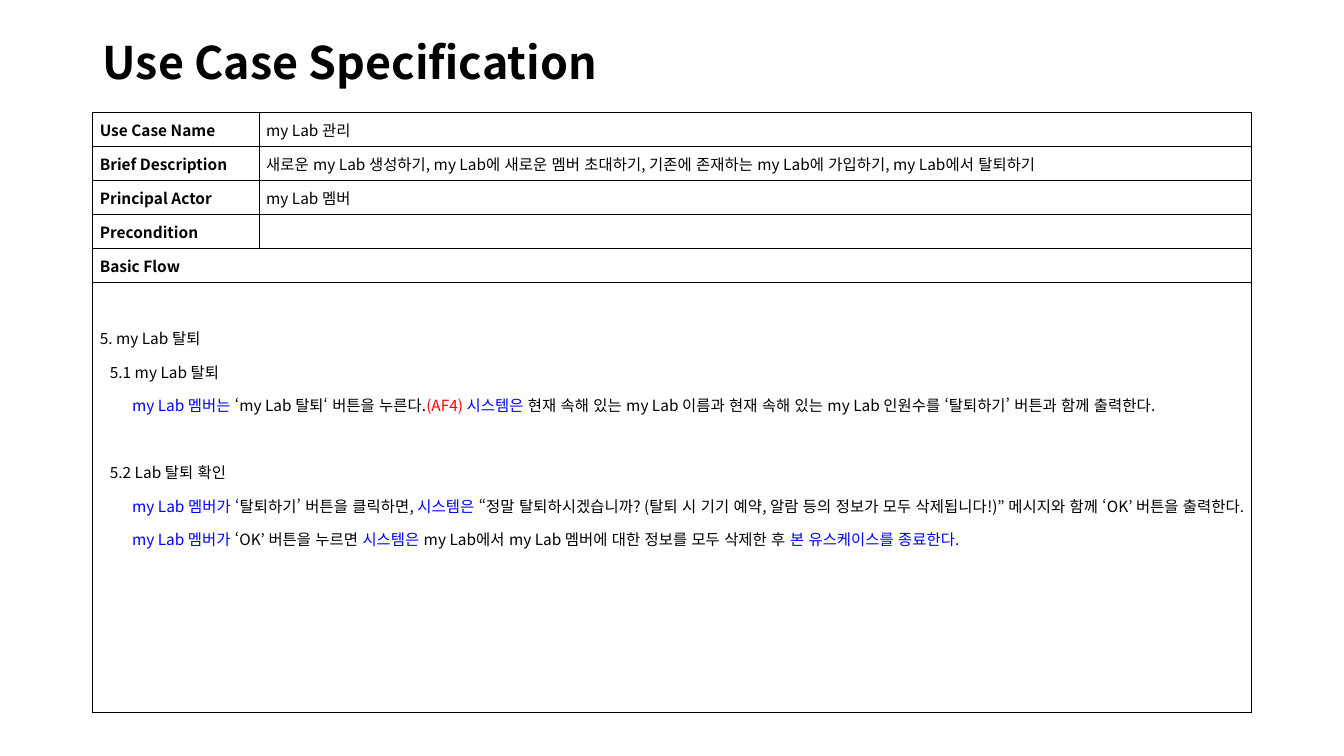
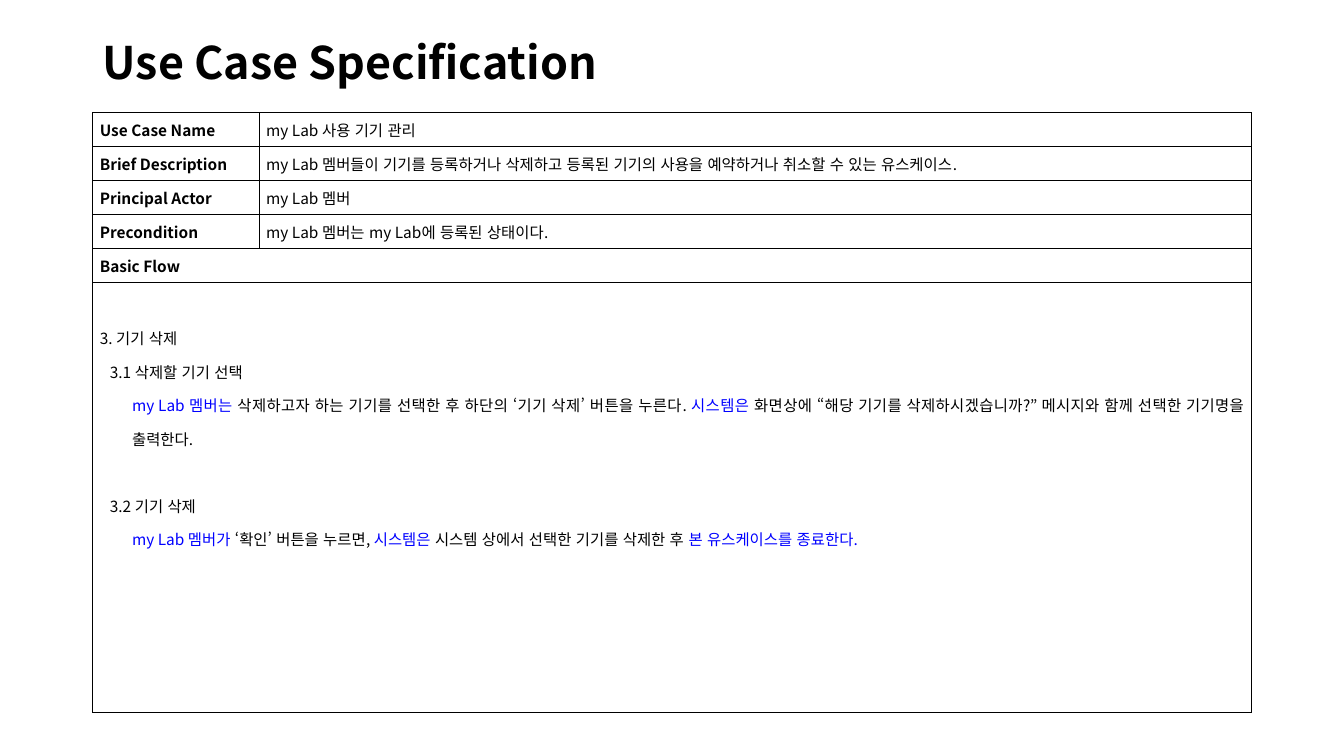
"""Build two use case specification slides, each with a title and a bordered table."""
from dataclasses import dataclass

from lxml import etree
from pptx import Presentation
from pptx.dml.color import RGBColor
from pptx.enum.lang import MSO_LANGUAGE_ID
from pptx.enum.text import MSO_ANCHOR, PP_ALIGN
from pptx.oxml.ns import qn
from pptx.util import Inches, Pt

MIDDLE, TOP = MSO_ANCHOR.MIDDLE, MSO_ANCHOR.TOP
LEFT, JUSTIFY = PP_ALIGN.LEFT, PP_ALIGN.JUSTIFY
KOREAN = MSO_LANGUAGE_ID.KOREAN


@dataclass(frozen=True)
class Theme:
    font: str = "Noto Sans CJK KR"
    black: str = "000000"
    actor: str = "0000FF"
    alternative: str = "FF0000"
    title_size: int = 32
    body_size: int = 11
    border_width: int = 1
    flow_spacing: float = 1.5
    blank_line: float = 23.9


theme = Theme()
BLACK, ACTOR, ALTERNATIVE = theme.black, theme.actor, theme.alternative
LABELS = ["Use Case Name", "Brief Description", "Principal Actor", "Precondition", "Basic Flow"]
COLUMN_WIDTHS = [1.65, 9.84]
TABLE_HEIGHT, FLOW_HEIGHT = 5.95, 4.27
ROW_HEIGHTS = [(TABLE_HEIGHT - FLOW_HEIGHT) / len(LABELS)] * len(LABELS) + [FLOW_HEIGHT]
FLOW_INDENTS = {"heading": 0, "step": 0.1, "detail": 0.32}

use_cases = [
    {
        "values": [
            "my Lab 관리",
            "새로운 my Lab 생성하기, my Lab에 새로운 멤버 초대하기, "
            "기존에 존재하는 my Lab에 가입하기, my Lab에서 탈퇴하기",
            "my Lab 멤버",
            "",
        ],
        "flow": [
            ("heading", [("5. my Lab 탈퇴", BLACK)]),
            ("step", [("5.1 my Lab 탈퇴", BLACK)]),
            ("detail", [
                ("my Lab 멤버는 ", ACTOR),
                ("‘my Lab 탈퇴‘ 버튼을 누른다.", BLACK),
                ("(AF4) ", ALTERNATIVE),
                ("시스템은 ", ACTOR),
                ("현재 속해 있는 my Lab 이름과 현재 속해 있는 my Lab 인원수를 "
                 "‘탈퇴하기’ 버튼과 함께 출력한다.", BLACK),
            ]),
            ("step", [("5.2 Lab 탈퇴 확인", BLACK)]),
            ("detail", [
                ("my Lab 멤버가 ‘", ACTOR),
                ("탈퇴하기’ 버튼을 클릭하면, ", BLACK),
                ("시스템은 ", ACTOR),
                ("“정말 탈퇴하시겠습니까? (탈퇴 시 기기 예약, 알람 등의 정보가 모두 "
                 "삭제됩니다!)” 메시지와 함께 ‘OK’ 버튼을 출력한다. ", BLACK),
                ("my Lab 멤버가 ", ACTOR),
                ("‘OK’ 버튼을 누르면 ", BLACK),
                ("시스템은 ", ACTOR),
                ("my Lab에서 my Lab 멤버에 대한 정보를 모두 삭제한 후 ", BLACK),
                ("본 유스케이스를 종료한다.", ACTOR),
            ]),
        ],
    },
    {
        "values": [
            "my Lab 사용 기기 관리",
            "my Lab 멤버들이 기기를 등록하거나 삭제하고 등록된 기기의 사용을 "
            "예약하거나 취소할 수 있는 유스케이스.",
            "my Lab 멤버",
            "my Lab 멤버는 my Lab에 등록된 상태이다.",
        ],
        "flow": [
            ("heading", [("3. 기기 삭제", BLACK)]),
            ("step", [("3.1 삭제할 기기 선택", BLACK)]),
            ("detail", [
                ("my Lab 멤버는", ACTOR),
                (" 삭제하고자 하는 기기를 선택한 후 하단의 ‘기기 삭제’ 버튼을 누른다. ", BLACK),
                ("시스템은", ACTOR),
                (" 화면상에 “해당 기기를 삭제하시겠습니까?” 메시지와 함께 "
                 "선택한 기기명을 출력한다.", BLACK),
            ]),
            ("step", [("3.2 기기 삭제", BLACK)]),
            ("detail", [
                ("my Lab 멤버가 ", ACTOR),
                ("‘확인’ 버튼을 누르면, ", BLACK),
                ("시스템은", ACTOR),
                (" 시스템 상에서 선택한 기기를 삭제한 후 ", BLACK),
                ("본 유스케이스를 종료한다.", ACTOR),
            ]),
        ],
    },
]


def write_paragraph(paragraph, runs, size, bold=False, alignment=JUSTIFY):
    paragraph.alignment = alignment
    font = paragraph.font
    font.name, font.size, font.bold = theme.font, Pt(size), bold
    font.color.rgb = RGBColor.from_string(BLACK)
    defaults = paragraph._p.pPr.find(qn("a:defRPr"))
    etree.SubElement(defaults, qn("a:ea"), typeface=theme.font)
    for text, color in runs:
        run = paragraph.add_run()
        run.text = text
        run.font.language_id = KOREAN
        if color != BLACK:
            run.font.color.rgb = RGBColor.from_string(color)
    if not runs:
        etree.SubElement(paragraph._p, qn("a:endParaRPr"), sz=str(size * 100))


def format_cell(cell):
    cell.fill.background()
    cell.vertical_anchor = MIDDLE
    cell.margin_left = cell.margin_right = Inches(0.07)
    cell.margin_top = cell.margin_bottom = 0
    properties = cell._tc.get_or_add_tcPr()
    for position, side in enumerate(["lnL", "lnR", "lnT", "lnB"]):
        border = etree.Element(qn(f"a:{side}"), w=str(Pt(theme.border_width)))
        fill = etree.SubElement(border, qn("a:solidFill"))
        etree.SubElement(fill, qn("a:srgbClr"), val=BLACK)
        properties.insert(position, border)


presentation = Presentation()
presentation.slide_width, presentation.slide_height = Inches(13.33), Inches(7.5)
blank_layout = presentation.slide_layouts[6]

for use_case in use_cases:
    slide = presentation.slides.add_slide(blank_layout)

    title = slide.shapes.add_textbox(Inches(0.92), Inches(0.39), Inches(11.5), Inches(0.5))
    title_frame = title.text_frame
    title_frame.word_wrap = True
    title_frame.vertical_anchor = MIDDLE
    title_frame.margin_top = title_frame.margin_bottom = 0
    title_paragraph = title_frame.paragraphs[0]
    title_paragraph.line_spacing = 0.9
    write_paragraph(title_paragraph, [("Use Case Specification", BLACK)],
                    theme.title_size, bold=True, alignment=LEFT)

    table = slide.shapes.add_table(
        len(ROW_HEIGHTS), len(COLUMN_WIDTHS),
        Inches(0.92), Inches(1.12), Inches(sum(COLUMN_WIDTHS)), Inches(TABLE_HEIGHT),
    ).table
    table.first_row = table.horz_banding = False
    for column, width in zip(table.columns, COLUMN_WIDTHS):
        column.width = Inches(width)
    for row, height in zip(table.rows, ROW_HEIGHTS):
        row.height = Inches(height)
    for cell in table.iter_cells():
        format_cell(cell)

    for index, label in enumerate(LABELS):
        write_paragraph(table.cell(index, 0).text_frame.paragraphs[0],
                        [(label, BLACK)], theme.body_size, bold=True)
    for index, value in enumerate(use_case["values"]):
        write_paragraph(table.cell(index, 1).text_frame.paragraphs[0],
                        [(value, BLACK)] if value else [], theme.body_size)

    flow_row = len(LABELS)
    for index in (flow_row - 1, flow_row):
        table.cell(index, 0).merge(table.cell(index, 1))
    flow_cell = table.cell(flow_row, 0)
    flow_cell.vertical_anchor = TOP
    flow_cell.margin_top = Pt(theme.blank_line)
    flow_frame = flow_cell.text_frame
    previous_level = None
    for level, runs in use_case["flow"]:
        paragraph = flow_frame.add_paragraph() if previous_level else flow_frame.paragraphs[0]
        paragraph.line_spacing = theme.flow_spacing
        if previous_level == "detail":
            paragraph.space_before = Pt(theme.blank_line)
        write_paragraph(paragraph, runs, theme.body_size)
        paragraph._p.pPr.set("marL", str(Inches(FLOW_INDENTS[level])))
        paragraph._p.pPr.set("indent", "0")
        previous_level = level

presentation.save("out.pptx")
